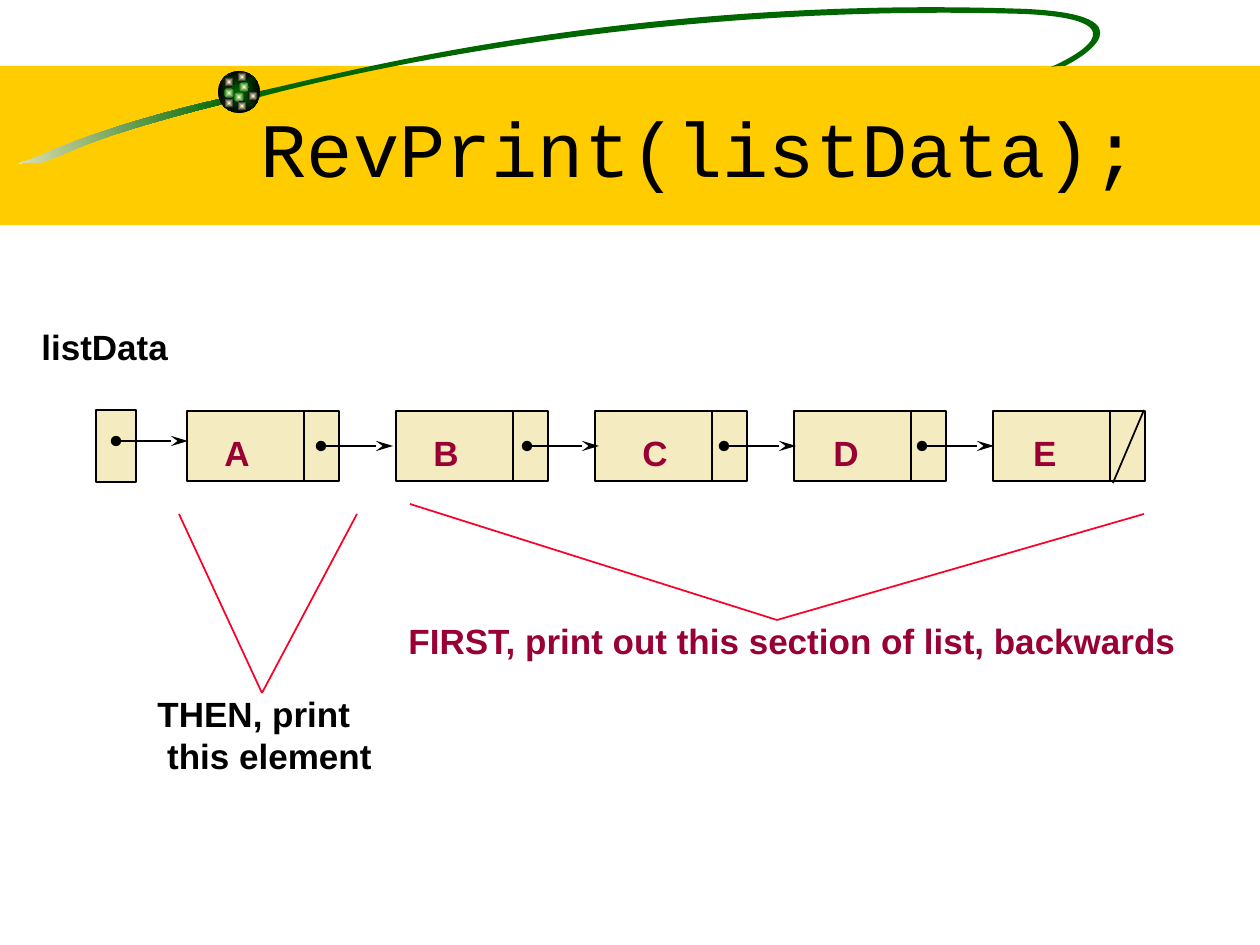
from math import cos, radians, sin

from lxml import etree
from pptx import Presentation
from pptx.dml.color import RGBColor
from pptx.enum.shapes import MSO_CONNECTOR, MSO_SHAPE
from pptx.enum.text import MSO_ANCHOR, PP_ALIGN
from pptx.oxml.ns import qn
from pptx.util import Pt

SCALE = 914400 / 126
STRAIGHT = MSO_CONNECTOR.STRAIGHT
RECTANGLE, OVAL = MSO_SHAPE.RECTANGLE, MSO_SHAPE.OVAL
BOTTOM, MIDDLE, TOP = MSO_ANCHOR.BOTTOM, MSO_ANCHOR.MIDDLE, MSO_ANCHOR.TOP
LEFT, CENTER = PP_ALIGN.LEFT, PP_ALIGN.CENTER

BLACK = RGBColor(0x00, 0x00, 0x00)
GREEN = RGBColor(0x00, 0x66, 0x00)
GOLD = RGBColor(0xFF, 0xCC, 0x00)
CREAM = RGBColor(0xF5, 0xEB, 0xC1)
IVORY = RGBColor(0xFF, 0xFF, 0xCC)
MAROON = RGBColor(0x99, 0x00, 0x33)
RED = RGBColor(0xFC, 0x01, 0x28)

TITLE = "RevPrint(listData);"
LABELS = [
    ("listData", (29, 319, 154, 54), BLACK),
    ("FIRST, print out this section of list, backwards", (396, 613, 800, 54), MAROON),
    ("THEN, print\n this element", (145, 686, 244, 97), BLACK),
]
NODES = [("A", 187, 50), ("B", 396, 50), ("C", 595, 60), ("D", 794, 52), ("E", 993, 52)]
NODE_TOP, NODE_WIDTH, NODE_HEIGHT, DIVIDER_OFFSET = 411, 152, 70, 117
HEAD_BOX = (96, 410, 40, 72)
POINTERS = [(116, 441), (321, 446), (527, 446), (724, 446), (922, 446)]
POINTER_LENGTH = 72
NULL_SLASH = [(1144, 410), (1113, 483)]
BRACES = [
    [(179, 514), (262, 693), (357, 514)],
    [(410, 504), (777, 620), (1144, 514)],
]

BAND = (0, 66, 1260, 159)
SWOOSH_ANGLE = -8.5
TAIL = [
    (224, 98),
    (115, 123), (62, 146), (32, 159),
    (1, 169), (33, 159), (39, 163),
    (72, 154), (72, 142), (226, 103),
]
LOOP = [
    (255, 92),
    (310, 82), (612, -6), (1026, 9),
    (1155, 15), (1080, 59), (1065, 66),
    (1065, 66), (1055, 66), (1051, 67),
    (1063, 62), (1154, 20), (1024, 14),
    (690, 4), (403, 59), (260, 97),
]
BALL = (218, 71, 42, 42)
BEAD_SIZE = 10
BEADS = [
    (239, 82, GREEN), (224, 77, BLACK), (224, 88, GREEN), (234, 92, GREEN),
    (248, 91, BLACK), (237, 101, BLACK), (224, 98, BLACK), (237, 72, BLACK),
]


def emu(length):
    return round(length * SCALE)


def add_box(slide, kind, box, color=None, outlined=False):
    shape = slide.shapes.add_shape(kind, *map(emu, box))
    style_shape(shape, color, outlined)
    return shape


def style_shape(shape, color, outlined=False):
    shape.shadow.inherit = False
    if color is not None:
        shape.fill.solid()
        shape.fill.fore_color.rgb = color
    if outlined:
        shape.line.color.rgb = BLACK
        shape.line.width = Pt(1)
    else:
        shape.line.fill.background()


def set_gradient(shape, first, last):
    shape.fill.gradient()
    shape.fill.gradient_angle = 0
    for stop, color, position in zip(shape.fill.gradient_stops, (first, last), (0, 1)):
        stop.color.rgb = color
        stop.position = position


def add_glowing_ball(slide, box, center, edge):
    ball = add_box(slide, OVAL, box)
    set_gradient(ball, center, edge)
    gradient = ball.element.spPr.find(qn("a:gradFill"))
    gradient.remove(gradient.find(qn("a:lin")))
    path = etree.SubElement(gradient, qn("a:path"), path="rect")
    etree.SubElement(path, qn("a:fillToRect"), l="50000", t="50000", r="50000", b="50000")


def rotate(x, y, degrees):
    angle = radians(degrees)
    return x * cos(angle) - y * sin(angle), x * sin(angle) + y * cos(angle)


def add_curve(slide, points, color):
    level = [tuple(map(emu, rotate(x, y, -SWOOSH_ANGLE))) for x, y in points]
    builder = slide.shapes.build_freeform(*level[0], scale=1.0)
    builder.add_line_segments(level[1:], close=True)
    shape = builder.convert_to_shape()
    segments = list(shape.element.spPr.iter(qn("a:lnTo")))
    for i in range(0, len(level) - 1, 3):
        curve = etree.Element(qn("a:cubicBezTo"))
        segments[i].addprevious(curve)
        for segment in segments[i:i + 3]:
            curve.append(segment[0])
            segment.getparent().remove(segment)
    center = shape.left + shape.width / 2, shape.top + shape.height / 2
    center_x, center_y = rotate(*center, SWOOSH_ANGLE)
    shape.left = round(center_x - shape.width / 2)
    shape.top = round(center_y - shape.height / 2)
    shape.rotation = SWOOSH_ANGLE
    style_shape(shape, color)
    return shape


def add_line(slide, start, end, color=BLACK, arrow=False):
    line = slide.shapes.add_connector(STRAIGHT, *map(emu, (*start, *end)))
    line.line.color.rgb = color
    line.line.width = Pt(1)
    if arrow:
        outline = line.element.spPr.find(qn("a:ln"))
        etree.SubElement(outline, qn("a:headEnd"), type="oval")
        etree.SubElement(outline, qn("a:tailEnd"), type="stealth", len="lg")
    etree.SubElement(line.element.spPr, qn("a:effectLst"))


def set_text(shape, text, color, size=20, name="Arial", bold=True, align=LEFT, anchor=TOP):
    frame = shape.text_frame
    frame.text = text
    frame.word_wrap = False
    frame.vertical_anchor = anchor
    for paragraph in frame.paragraphs:
        paragraph.alignment = align
        for run in paragraph.runs:
            run.font.size = Pt(size)
            run.font.name = name
            run.font.bold = bold
            run.font.color.rgb = color


def add_decoration(slide):
    add_box(slide, RECTANGLE, BAND, GOLD)
    set_gradient(add_curve(slide, TAIL, None), CREAM, GREEN)
    add_curve(slide, LOOP, GREEN)
    add_glowing_ball(slide, BALL, GREEN, BLACK)
    for x, y, edge in BEADS:
        add_glowing_ball(slide, (x, y, BEAD_SIZE, BEAD_SIZE), IVORY, edge)


def add_linked_list(slide):
    add_box(slide, RECTANGLE, HEAD_BOX, CREAM, outlined=True)
    for letter, left, letter_center in NODES:
        box = (left, NODE_TOP, NODE_WIDTH, NODE_HEIGHT)
        node = add_box(slide, RECTANGLE, box, CREAM, outlined=True)
        set_text(node, letter, MAROON, align=CENTER, anchor=MIDDLE)
        frame = node.text_frame
        frame.margin_left = frame.margin_bottom = 0
        frame.margin_right = emu(NODE_WIDTH - 2 * letter_center)
        frame.margin_top = emu(12)
        divider = left + DIVIDER_OFFSET
        add_line(slide, (divider, NODE_TOP), (divider, NODE_TOP + NODE_HEIGHT))
    for x, y in POINTERS:
        add_line(slide, (x, y), (x + POINTER_LENGTH, y), arrow=True)
    add_line(slide, *NULL_SLASH)


def main():
    presentation = Presentation()
    presentation.slide_width, presentation.slide_height = emu(1260), emu(945)
    slide = presentation.slides.add_slide(presentation.slide_layouts[6])
    add_decoration(slide)
    title = slide.shapes.add_textbox(*map(emu, (168, 94, 1064, 105)))
    set_text(title, TITLE, BLACK, 44, "Courier New", False, CENTER, BOTTOM)
    add_linked_list(slide)
    for text, box, color in LABELS:
        set_text(slide.shapes.add_textbox(*map(emu, box)), text, color)
    for left, tip, right in BRACES:
        add_line(slide, left, tip, RED)
        add_line(slide, tip, right, RED)
    presentation.save("out.pptx")


if __name__ == "__main__":
    main()
